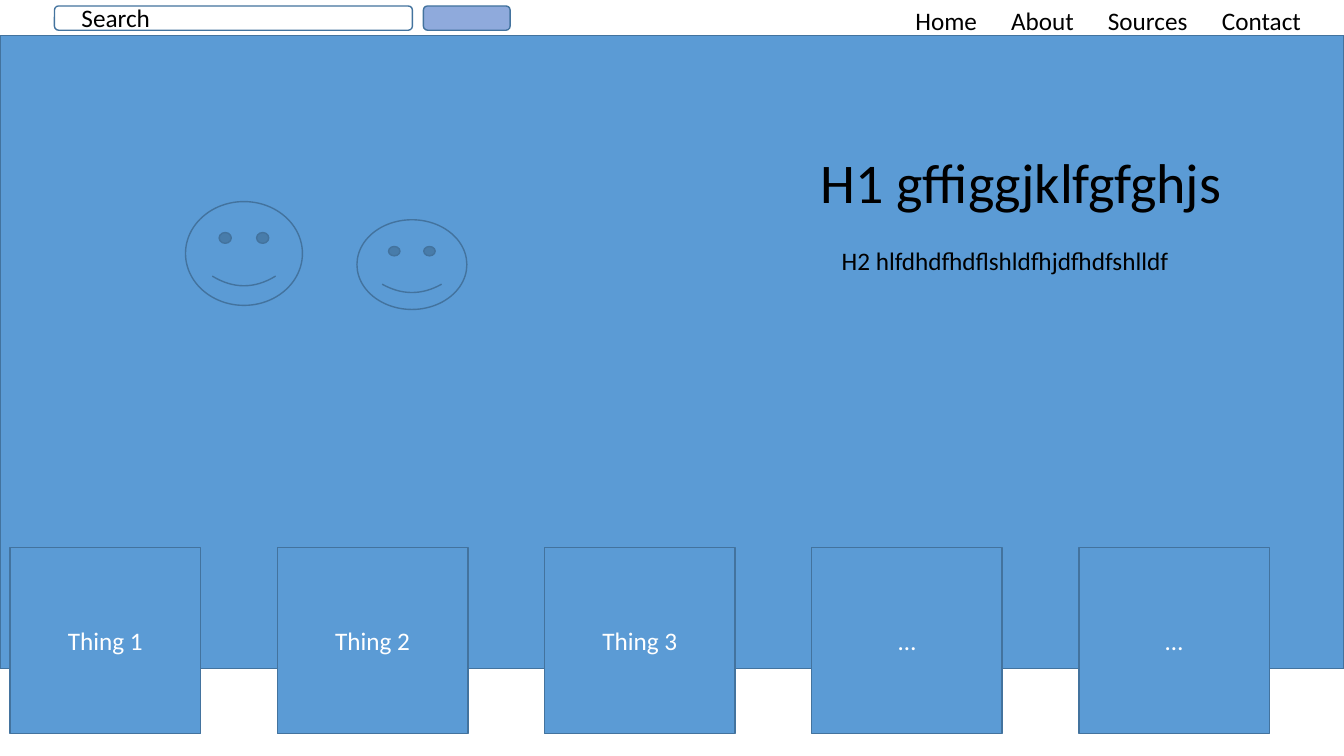
from lxml import etree
from pptx import Presentation
from pptx.dml.color import RGBColor
from pptx.enum.shapes import MSO_SHAPE
from pptx.enum.text import MSO_ANCHOR, MSO_AUTO_SIZE, PP_ALIGN
from pptx.oxml.ns import qn
from pptx.util import Inches, Pt

RECT = MSO_SHAPE.RECTANGLE
ROUNDED = MSO_SHAPE.ROUNDED_RECTANGLE
SMILEY = MSO_SHAPE.SMILEY_FACE
LEFT, CENTER = PP_ALIGN.LEFT, PP_ALIGN.CENTER
TOP, MIDDLE = MSO_ANCHOR.TOP, MSO_ANCHOR.MIDDLE
NO_AUTOFIT = MSO_AUTO_SIZE.NONE

BLUE = RGBColor(0x5B, 0x9B, 0xD5)
OUTLINE = RGBColor(0x43, 0x73, 0x9E)
PERIWINKLE = RGBColor(0x8F, 0xAA, 0xDC)
BLACK = RGBColor(0, 0, 0)
WHITE = RGBColor(0xFF, 0xFF, 0xFF)

FONT = "Calibri"
TITLE_ONLY = 5
CARD_LABELS = ["Thing 1", "Thing 2", "Thing 3", "…", "…"]
CARD_LEFT, CARD_STEP = 0.1, 2.65
NAV_ITEMS = ["Home", "About", "Sources", "Contact"]
NAV_TABS = [0.95, 1.91, 3.04]


def write_text(shape, text, size=18, color=BLACK, align=LEFT, anchor=TOP, wrap=True):
    frame = shape.text_frame
    frame.auto_size = NO_AUTOFIT
    frame.word_wrap = wrap
    frame.vertical_anchor = anchor
    paragraph = frame.paragraphs[0]
    paragraph.alignment = align
    paragraph.line_spacing = 1.0
    paragraph.space_before = Pt(0)
    run = paragraph.add_run()
    run.text = text
    run.font.name = FONT
    run.font.size = Pt(size)
    run.font.color.rgb = color
    return paragraph


def add_box(slide, kind, left, top, width, height, fill=BLUE):
    """Add an outlined preset shape; fill=None leaves it hollow."""
    box = slide.shapes.add_shape(
        kind, Inches(left), Inches(top), Inches(width), Inches(height))
    box.shadow.inherit = False
    if fill is None:
        box.fill.background()
    else:
        box.fill.solid()
        box.fill.fore_color.rgb = fill
    box.line.color.rgb = OUTLINE
    box.line.width = Pt(1)
    return box


def add_label(slide, text, left, top, width, height):
    label = slide.shapes.add_textbox(
        Inches(left), Inches(top), Inches(width), Inches(height))
    return write_text(label, text, wrap=False)


def add_title(slide, text, left, top, width, height):
    """Place the title placeholder in front of the shapes added so far."""
    title = slide.shapes.title
    title.left, title.top = Inches(left), Inches(top)
    title.width, title.height = Inches(width), Inches(height)
    write_text(title, text, size=40, wrap=False)
    title.element.getparent().append(title.element)


def set_tab_stops(paragraph, positions):
    properties = paragraph._p.get_or_add_pPr()
    stops = etree.SubElement(properties, qn("a:tabLst"))
    for position in positions:
        etree.SubElement(stops, qn("a:tab"), pos=str(Inches(position)), algn="l")


def add_cards(slide):
    for index, label in enumerate(CARD_LABELS):
        card = add_box(slide, RECT, CARD_LEFT + index * CARD_STEP, 5.43, 1.89, 1.85)
        write_text(card, label, color=WHITE, align=CENTER, anchor=MIDDLE)


def add_top_bar(slide):
    navigation = add_label(slide, "\t".join(NAV_ITEMS), 8.98, 0, 4.32, 0.4)
    set_tab_stops(navigation, NAV_TABS)
    add_box(slide, ROUNDED, 0.54, 0.06, 3.55, 0.24, fill=None)
    add_label(slide, "Search", 0.71, -0.03, 1.71, 0.4)
    add_box(slide, ROUNDED, 4.2, 0.06, 0.86, 0.24, fill=PERIWINKLE)


def main():
    deck = Presentation()
    deck.slide_width, deck.slide_height = Inches(13.33), Inches(7.5)
    slide = deck.slides.add_slide(deck.slide_layouts[TITLE_ONLY])

    add_box(slide, RECT, 0, 0.35, 13.33, 6.28)
    add_cards(slide)
    add_title(slide, "H1 gffiggjklfgfghjs", 8.04, 1.41, 4.8, 0.77)
    add_label(slide, "H2 hlfdhdfhdflshldfhjdfhdfshlldf", 8.25, 2.38, 3.9, 0.4)
    add_box(slide, SMILEY, 1.84, 2, 1.16, 1.03)
    add_box(slide, SMILEY, 3.54, 2.18, 1.09, 0.89)
    add_top_bar(slide)

    deck.save("out.pptx")


if __name__ == "__main__":
    main()
